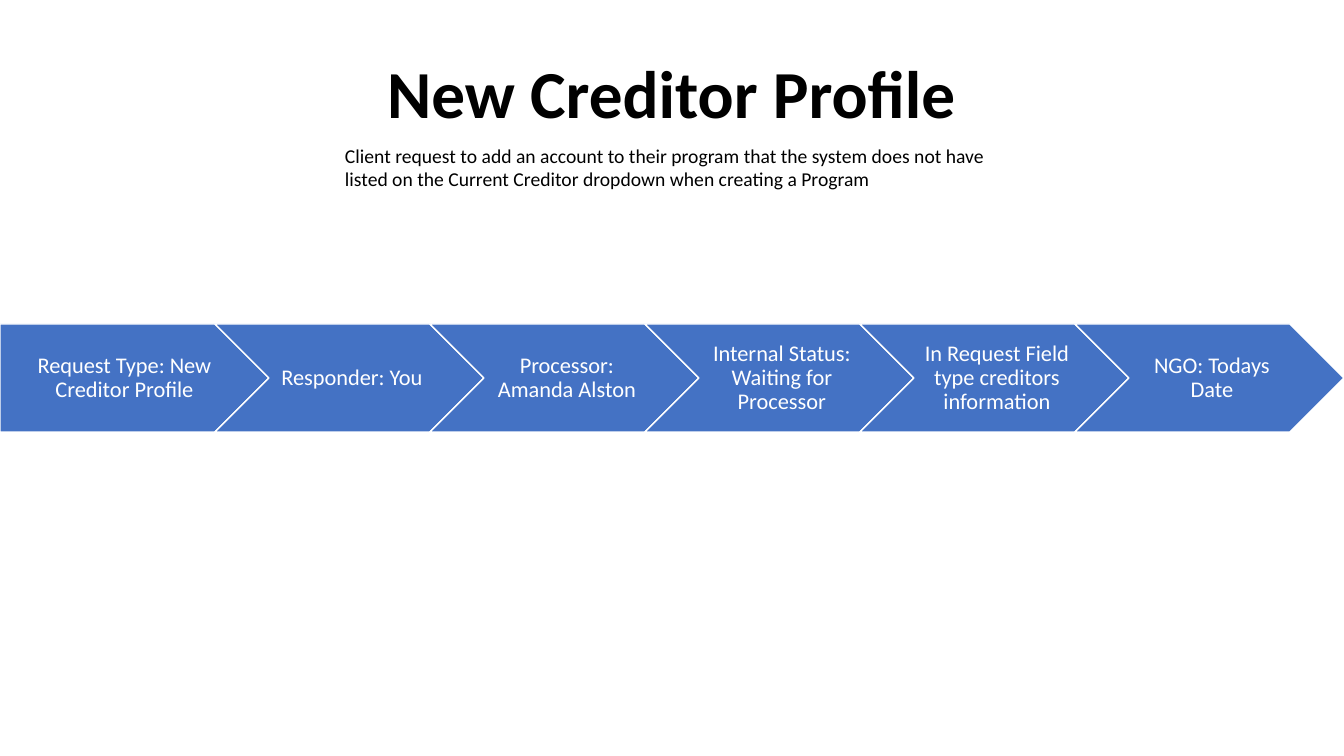
"""Build the New Creditor Profile slide with its row of process steps."""
from dataclasses import dataclass

from pptx import Presentation
from pptx.dml.color import RGBColor
from pptx.enum.shapes import MSO_SHAPE
from pptx.enum.text import MSO_ANCHOR, MSO_AUTO_SIZE, PP_ALIGN
from pptx.util import Emu, Pt

PENTAGON, CHEVRON = MSO_SHAPE.PENTAGON, MSO_SHAPE.CHEVRON
MIDDLE = MSO_ANCHOR.MIDDLE
FIT_SHAPE = MSO_AUTO_SIZE.SHAPE_TO_FIT_TEXT
LEFT, CENTER = PP_ALIGN.LEFT, PP_ALIGN.CENTER

PX_PER_INCH = 100.8
SLIDE_W, SLIDE_H = 1344, 756
STEP_TOP, STEP_W, STEP_H, STEP_PITCH = 324, 269, 108, 215


@dataclass(frozen=True)
class Theme:
    font: str = "Calibri"
    step_fill: RGBColor = RGBColor(0x44, 0x72, 0xC4)
    white: RGBColor = RGBColor(0xFF, 0xFF, 0xFF)
    black: RGBColor = RGBColor(0x00, 0x00, 0x00)
    title_size: int = 48
    note_size: int = 14
    step_size: int = 16


@dataclass(frozen=True)
class Step:
    text: str
    geometry: MSO_SHAPE = CHEVRON
    inset_left: int = 7


THEME = Theme()
STEPS = [
    Step("Request Type: New Creditor Profile", PENTAGON, 9),
    Step("Responder: You"),
    Step("Processor: Amanda Alston"),
    Step("Internal Status: Waiting for Processor"),
    Step("In Request Field type creditors information"),
    Step("NGO: Todays Date"),
]
TITLE = "New Creditor Profile"
NOTE = (
    "Client request to add an account to their program that the system does not have "
    "listed on the Current Creditor dropdown when creating a Program"
)


def px(n: int) -> Emu:
    return Emu(round(n * 914400 / PX_PER_INCH))


def write(p, text: str, size: int, color: RGBColor, align: PP_ALIGN,
          spacing: float = 1.0, after: int = 0, bold: bool = False) -> None:
    p.alignment, p.line_spacing, p.space_after = align, spacing, Pt(after)
    r = p.add_run()
    r.text = text
    r.font.name, r.font.size, r.font.bold = THEME.font, Pt(size), bold
    r.font.color.rgb = color


def add_step(s, index: int, step: Step) -> None:
    sp = s.shapes.add_shape(step.geometry, px(index * STEP_PITCH), px(STEP_TOP),
                            px(STEP_W), px(STEP_H))
    sp.shadow.inherit = False
    sp.fill.solid()
    sp.fill.fore_color.rgb = THEME.step_fill
    sp.line.color.rgb = THEME.white
    sp.line.width = Pt(1)
    tf = sp.text_frame
    tf.word_wrap, tf.vertical_anchor = True, MIDDLE
    tf.margin_left, tf.margin_right = px(step.inset_left), px(2)
    tf.margin_top = tf.margin_bottom = px(5)
    write(tf.paragraphs[0], step.text, THEME.step_size, THEME.white, CENTER, 0.9)


def add_heading(s) -> None:
    tf = s.shapes.add_textbox(px(335), px(41), px(673), px(156)).text_frame
    tf.word_wrap, tf.auto_size = True, FIT_SHAPE
    write(tf.paragraphs[0], TITLE, THEME.title_size, THEME.black, CENTER, 1.07, 8, True)
    write(tf.add_paragraph(), NOTE, THEME.note_size, THEME.black, LEFT)


def main() -> None:
    prs = Presentation()
    prs.slide_width, prs.slide_height = px(SLIDE_W), px(SLIDE_H)
    s = prs.slides.add_slide(prs.slide_layouts[6])
    for index, step in enumerate(STEPS):
        add_step(s, index, step)
    add_heading(s)
    prs.save("out.pptx")


if __name__ == "__main__":
    main()
